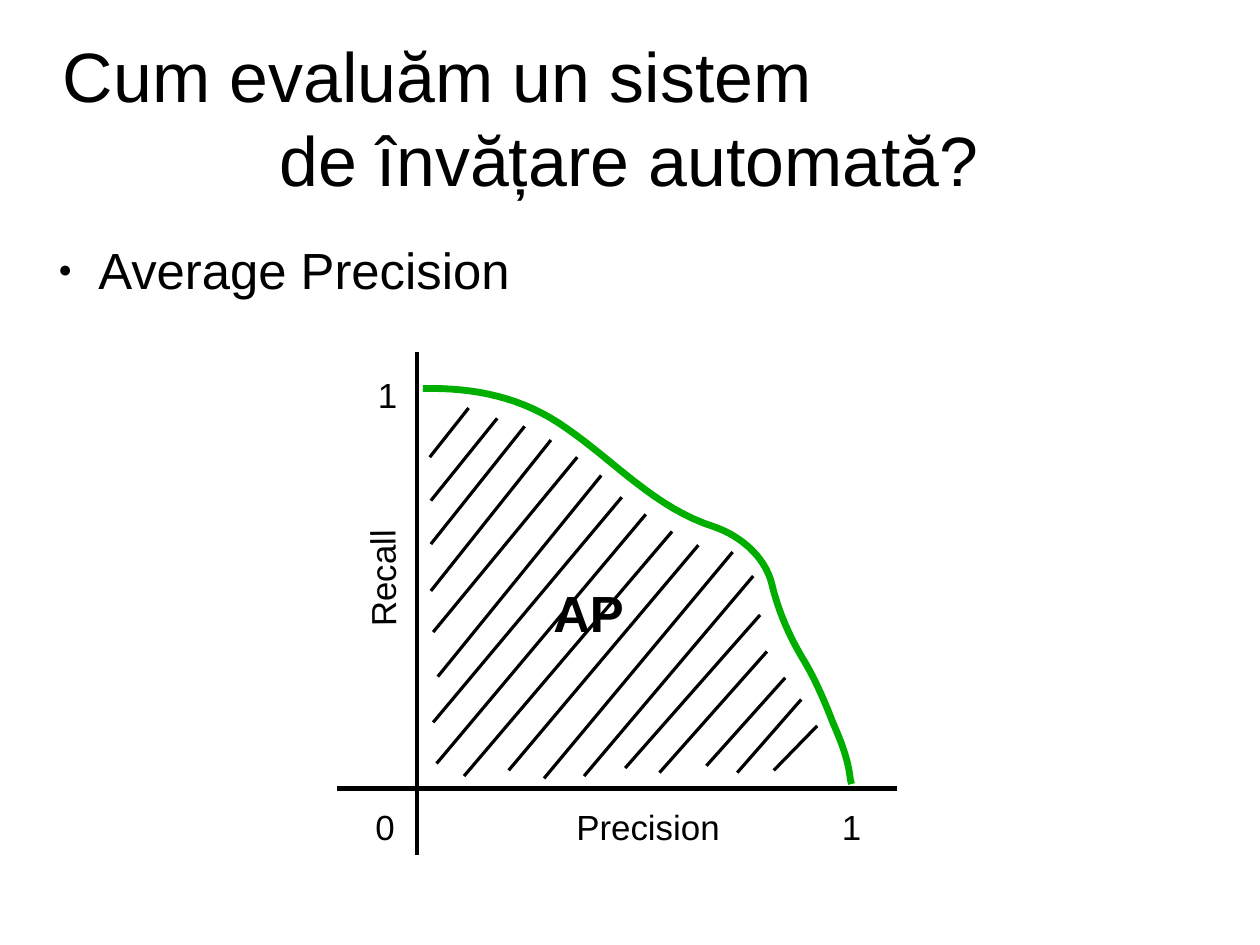
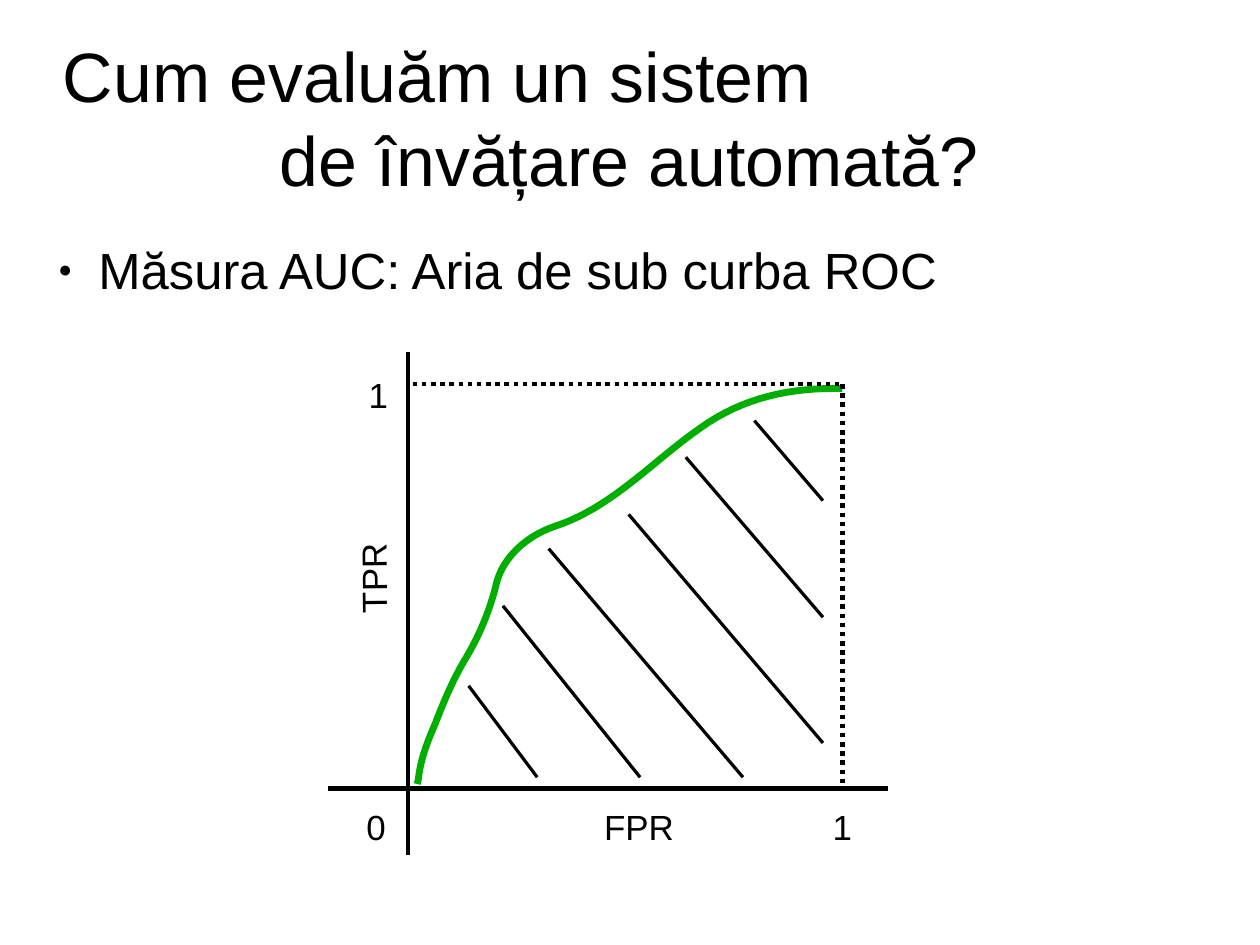
from lxml.etree import SubElement
from pptx import Presentation
from pptx.dml.color import RGBColor
from pptx.enum.dml import MSO_LINE
from pptx.enum.shapes import MSO_CONNECTOR
from pptx.enum.text import MSO_ANCHOR, MSO_AUTO_SIZE, PP_ALIGN
from pptx.oxml.ns import qn
from pptx.util import Cm, Pt

PX = 9144  # EMU per px, 100 px to the inch
BLACK = RGBColor(0x00, 0x00, 0x00)
GREEN = RGBColor(0x00, 0xAE, 0x00)
FONT = "Arial"
AXIS_WIDTH, CURVE_WIDTH = Pt(2.89), Pt(4.31)
CURVE_STEPS = 16

TITLE_LINES = [("Cum evaluăm un sistem", PP_ALIGN.LEFT),
               ("de învățare automată?", PP_ALIGN.CENTER)]

# Cubic Bézier chain: a start point, then two handles and an end per segment
PRECISION_RECALL = [
    (370, 340),
    (414, 339), (457, 347), (496, 375),
    (538, 404), (574, 445), (625, 461),
    (648, 469), (669, 487), (675, 510),
    (681, 535), (691, 558), (704, 579),
    (714, 596), (722, 615), (729, 633),
    (736, 649), (742, 664), (744, 682),
]
CURVE_END = (745, 686)

# The ROC curve is the same outline, mirrored and slightly narrowed
ROC_SCALE = 372 / 375


def mirrored(point):
    return 737 - (point[0] - 370) * ROC_SCALE, point[1]


AP_HATCHING = [
    (410, 357, 376, 400), (435, 366, 377, 438), (459, 373, 377, 476),
    (482, 385, 377, 517), (505, 400, 379, 553), (526, 416, 383, 592),
    (544, 435, 379, 632), (565, 450, 382, 668), (588, 465, 406, 679),
    (611, 477, 445, 674), (641, 483, 476, 681), (659, 504, 511, 679),
    (665, 538, 547, 672), (671, 570, 577, 676), (687, 593, 618, 670),
    (701, 612, 645, 676), (715, 635, 677, 674),
]
AUC_HATCHING = [
    (410, 600, 470, 680), (440, 530, 560, 680), (480, 480, 650, 680),
    (550, 450, 720, 650), (600, 400, 720, 540), (660, 368, 720, 438),
]

PLOTS = [
    dict(bullet="Average Precision", across="Precision", up="Recall",
         origin=365, body_width=739, curve=PRECISION_RECALL, end=CURVE_END,
         hatching=AP_HATCHING, bounds=[], area="AP"),
    dict(bullet="Măsura AUC: Aria de sub curba ROC", across="FPR", up="TPR",
         origin=357, body_width=1021,
         curve=[mirrored(p) for p in PRECISION_RECALL],
         end=mirrored(CURVE_END), hatching=AUC_HATCHING,
         bounds=[(361, 336, 737, 336), (737, 336, 737, 686)], area=None),
]


def add_line(slide, ends, width=None, dash=None):
    """Without a width the line keeps the default hairline."""
    line = slide.shapes.add_connector(MSO_CONNECTOR.STRAIGHT,
                                      *[value * PX for value in ends])
    line.line.color.rgb = BLACK
    if width is not None:
        line.line.width = width
    if dash is not None:
        line.line.dash_style = dash
    SubElement(line._element.spPr, qn("a:effectLst"))


def add_label(slide, text, left, top, width, height=44, size=22, bold=False):
    label = slide.shapes.add_textbox(left * PX, top * PX, width * PX, height * PX)
    label.text_frame.word_wrap = True
    paragraph = label.text_frame.paragraphs[0]
    paragraph.text = text
    paragraph.alignment = PP_ALIGN.CENTER
    font = paragraph.font
    font.name, font.size, font.bold = FONT, Pt(size), bold
    font.color.rgb = BLACK
    return label


prs = Presentation()
prs.slide_width, prs.slide_height = Cm(28), Cm(21)

for plot in PLOTS:
    slide = prs.slides.add_slide(prs.slide_layouts[1])
    title, body = slide.placeholders
    for holder, (left, top, width, height), anchor in (
            (title, (55, 33, 992, 138), MSO_ANCHOR.MIDDLE),
            (body, (39, 209, plot["body_width"], 600), MSO_ANCHOR.TOP)):
        holder.left, holder.top = left * PX, top * PX
        holder.width, holder.height = width * PX, height * PX
        frame = holder.text_frame
        frame.margin_left = frame.margin_right = 0
        frame.margin_top = frame.margin_bottom = 0
        frame.vertical_anchor = anchor
        frame.word_wrap = True
        frame.auto_size = MSO_AUTO_SIZE.NONE

    title.text_frame.text = "\n".join(text for text, _ in TITLE_LINES)
    for paragraph, (_, alignment) in zip(title.text_frame.paragraphs, TITLE_LINES):
        paragraph.alignment = alignment
        paragraph.font.name, paragraph.font.size = FONT, Pt(44)
        paragraph.font.color.rgb = BLACK

    bullet = body.text_frame.paragraphs[0]
    bullet.text = plot["bullet"]
    bullet.space_before, bullet.space_after = Pt(0), Pt(14.1)
    properties = bullet._p.get_or_add_pPr()
    properties.set("marL", str(47 * PX))
    properties.set("indent", str(-35 * PX))
    SubElement(properties, qn("a:buSzPct"), val="45000")
    SubElement(properties, qn("a:buFont"), typeface=FONT)
    SubElement(properties, qn("a:buChar"), char="●")
    bullet.font.name, bullet.font.size = FONT, Pt(32)
    bullet.font.color.rgb = BLACK

    origin = plot["origin"]
    add_line(slide, (origin, 308, origin, 748), AXIS_WIDTH)
    add_line(slide, (origin - 70, 690, origin + 420, 690), AXIS_WIDTH)
    add_label(slide, plot["across"], origin + 37, 700, 330)
    add_label(slide, plot["up"], origin - 197, 484, 330).rotation = 269.4
    add_label(slide, "1", origin + 350, 700, 60)
    add_label(slide, "0", origin - 58, 700, 60)
    add_label(slide, "1", origin - 56, 322, 60)

    points = plot["curve"]
    outline = []
    for first in range(0, len(points) - 1, 3):
        segment = points[first:first + 4]
        for step in range(1, CURVE_STEPS + 1):
            t = step / CURVE_STEPS
            weights = ((1 - t) ** 3, 3 * t * (1 - t) ** 2, 3 * t * t * (1 - t), t ** 3)
            outline.append([PX * sum(w * p[axis] for w, p in zip(weights, segment))
                            for axis in (0, 1)])
    outline.append([value * PX for value in plot["end"]])
    builder = slide.shapes.build_freeform(points[0][0] * PX, points[0][1] * PX)
    builder.add_line_segments(outline, close=False)
    curve = builder.convert_to_shape()
    curve.shadow.inherit = False
    curve.fill.background()
    curve.line.color.rgb = GREEN
    curve.line.width = CURVE_WIDTH

    for ends in plot["bounds"]:
        add_line(slide, ends, AXIS_WIDTH, MSO_LINE.ROUND_DOT)
    for ends in plot["hatching"]:
        add_line(slide, ends)
    if plot["area"]:
        add_label(slide, plot["area"], 433, 504, 164, 64, size=32, bold=True)

prs.save("out.pptx")
